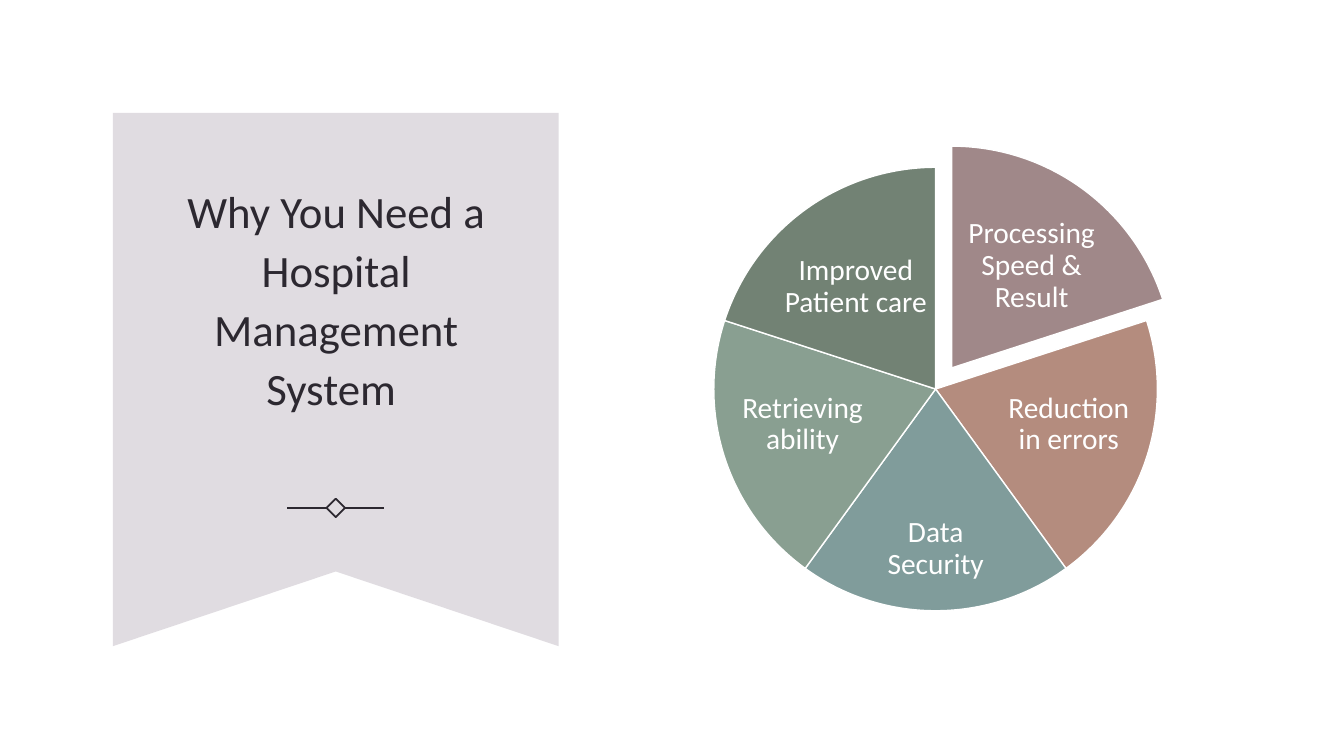
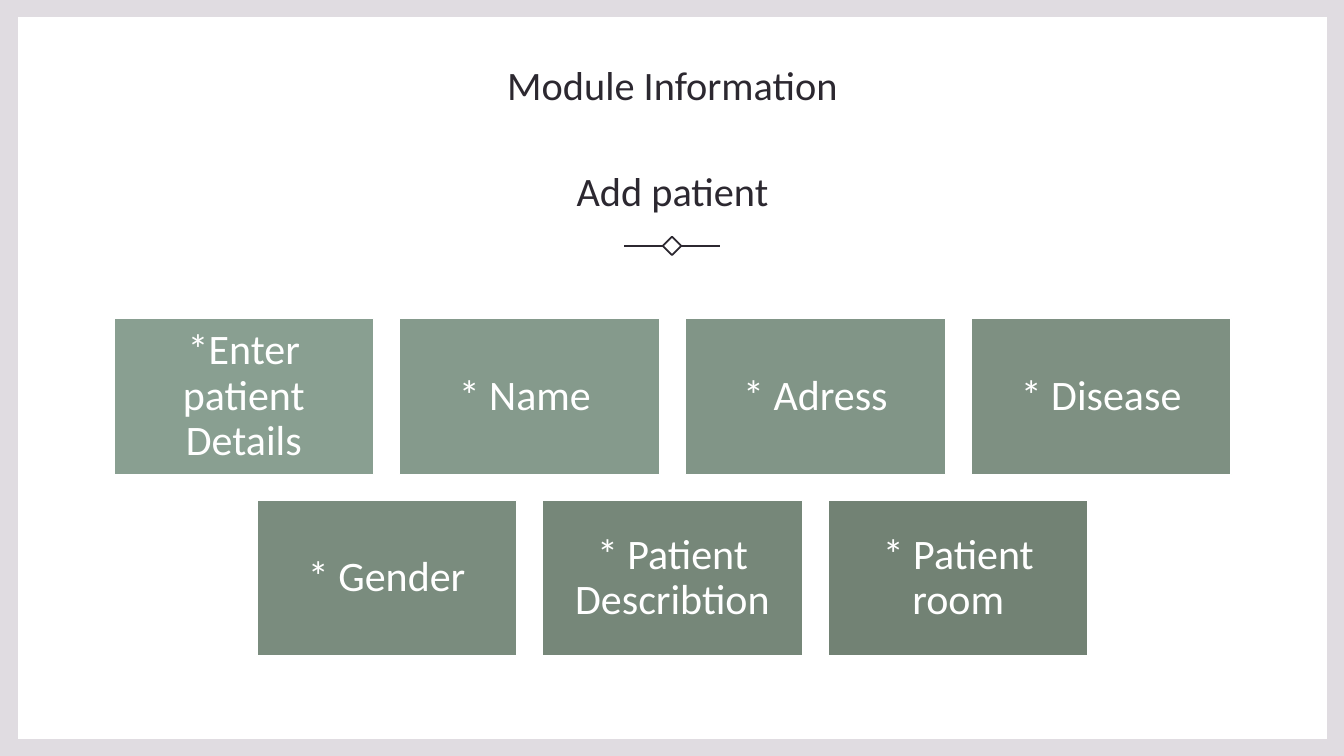
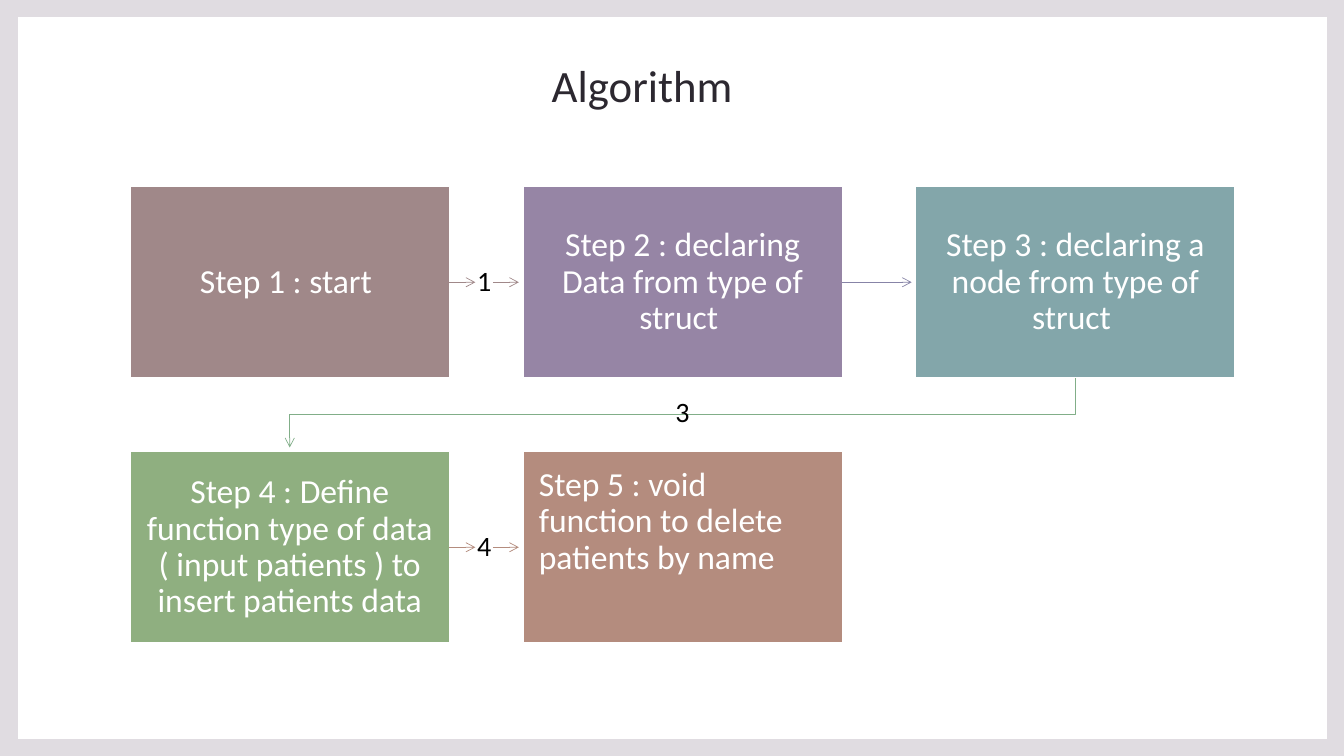
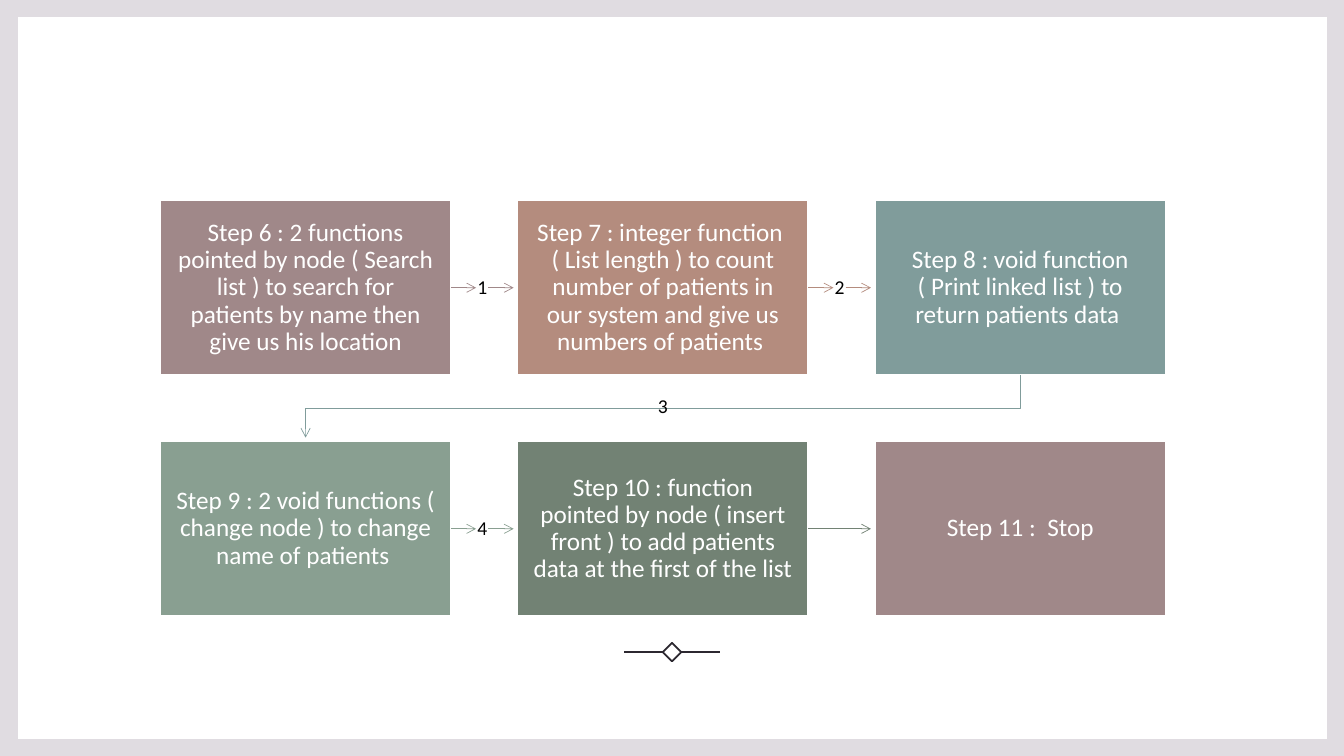
from dataclasses import dataclass

from lxml import etree
from pptx import Presentation
from pptx.dml.color import RGBColor
from pptx.enum.shapes import MSO_CONNECTOR, MSO_SHAPE
from pptx.enum.text import MSO_ANCHOR, MSO_AUTO_SIZE, PP_ALIGN
from pptx.oxml.ns import qn
from pptx.util import Inches, Pt

RECTANGLE, PIE = MSO_SHAPE.RECTANGLE, MSO_SHAPE.PIE
STRAIGHT = MSO_CONNECTOR.STRAIGHT
CENTER, LEFT = PP_ALIGN.CENTER, PP_ALIGN.LEFT
TOP, MIDDLE, BOTTOM = MSO_ANCHOR.TOP, MSO_ANCHOR.MIDDLE, MSO_ANCHOR.BOTTOM
NO_FIT = MSO_AUTO_SIZE.NONE

WIDTH, HEIGHT = 13.33, 7.5
FONT = "Calibri"
WHITE, BLACK, INK, LILAC = "FFFFFF", "000000", "2C2830", "E0DCE1"
MAUVE, CLAY, TEAL, SAGE, MOSS = "A08889", "B48C7E", "809C9B", "899F91", "728274"
TITLE_LAYOUT, BLANK_LAYOUT = 5, 6
RIGHT_SIDE = 3
FULL_TURN = 216


@dataclass
class Step:
    """One box of a flow, with the arrow that leaves it."""
    text: str
    fill: str
    arrow: str = ""
    number: str = ""
    align: int = CENTER
    anchor: int = MIDDLE


def color(value):
    """Turn a hex string into a colour."""
    return RGBColor.from_string(value)


def assign(target, values):
    """Set each attribute named in a dict."""
    for name, value in values.items():
        setattr(target, name, value)


def place(box):
    """Turn a box in inches into lengths."""
    return [Inches(length) for length in box]


def write(shape, lines, size, ink=WHITE, align=CENTER, anchor=MIDDLE,
          spacing=0.9, inset=(0, 0), gap=0):
    """Put paragraphs of one style into a shape."""
    across, down = place(inset)
    frame = shape.text_frame
    frame.text = "\n".join(lines)
    assign(frame, {"word_wrap": True, "auto_size": NO_FIT, "vertical_anchor": anchor,
                   "margin_left": across, "margin_right": across,
                   "margin_top": down, "margin_bottom": down})
    for index, para in enumerate(frame.paragraphs):
        assign(para, {"alignment": align, "line_spacing": spacing,
                      "space_before": Pt(gap if index else 0), "space_after": Pt(0)})
        for span in para.runs:
            assign(span.font, {"name": FONT, "size": Pt(size), "bold": False})
            span.font.color.rgb = color(ink)


def paint(shape, fill="", line="", weight=1):
    """Give a shape its fill and line, without a shadow."""
    shape.shadow.inherit = False
    if fill:
        shape.fill.solid()
        shape.fill.fore_color.rgb = color(fill)
    else:
        shape.fill.background()
    if line:
        shape.line.color.rgb = color(line)
        shape.line.width = Pt(weight)
    else:
        shape.line.fill.background()
    return shape


def add_box(page, box, fill="", line="", weight=1, kind=RECTANGLE):
    """Add a painted preset shape."""
    return paint(page.shapes.add_shape(kind, *place(box)), fill, line, weight)


def add_label(page, center, size, text, points, ink=WHITE, inset=(0, 0)):
    """Add a text box around a centre point."""
    (x, y), (width, height) = center, size
    label = page.shapes.add_textbox(*place((x - width / 2, y - height / 2, width, height)))
    write(label, [text], points, ink, inset=inset)


def add_line(page, start, end, ink, weight):
    """Add a straight connector without a shadow."""
    line = page.shapes.add_connector(STRAIGHT, *place(start + end))
    line.line.color.rgb = color(ink)
    line.line.width = Pt(weight)
    etree.SubElement(line.element.spPr, qn("a:effectLst"))
    return line


def add_outline(page, points, close):
    """Add a freeform through points in inches."""
    corners = [place(point) for point in points]
    builder = page.shapes.build_freeform(*corners[0], scale=1.0)
    builder.add_line_segments(corners[1:], close=close)
    return builder.convert_to_shape()


def add_arrowhead(shape):
    """Put an open arrowhead at the end of a line."""
    etree.SubElement(shape.element.spPr.find(qn("a:ln")), qn("a:tailEnd"), type="arrow")


def add_title(page, box, lines, size, anchor=BOTTOM, gap=0):
    """Move the title placeholder to the front and format it."""
    title = page.shapes.title
    title.element.getparent().append(title.element)
    assign(title, dict(zip(("left", "top", "width", "height"), place(box))))
    write(title, lines, size, INK, anchor=anchor, spacing=1.1, inset=(0.1, 0.05), gap=gap)


def add_divider(page, x, y):
    """Draw a small diamond between two short lines."""
    side, inner, outer = 0.13, 0.09, 0.48
    diamond = add_box(page, (x - side / 2, y - side / 2, side, side), line=INK, weight=1.25)
    diamond.rotation = 45
    for sign in (-1, 1):
        add_line(page, (x + sign * inner, y), (x + sign * outer, y), INK, 1.25)


def add_page(deck, layout, framed=True):
    """Add a slide, with a lilac frame if wanted."""
    page = deck.slides.add_slide(deck.slide_layouts[layout])
    page.background.fill.solid()
    page.background.fill.fore_color.rgb = color(LILAC if framed else WHITE)
    if framed:
        add_box(page, (0.18, 0.17, WIDTH - 0.35, HEIGHT - 0.34), WHITE)
    return page


def add_ribbon(page, box):
    """Draw a banner with a notch in its lower edge."""
    left, top, width, height = box
    right, bottom = left + width, top + height
    notch = (left + width / 2, top + 0.86 * height)
    corners = [(left, top), (right, top), (right, bottom), notch, (left, bottom)]
    paint(add_outline(page, corners, True), LILAC)


def add_pie(page, left, top, size, slices):
    """Draw equal slices clockwise from the top, the first pulled out."""
    turn = FULL_TURN / len(slices)
    start = FULL_TURN * 0.75
    for index, (text, fill, across, down, wide, high) in enumerate(slices):
        x, y = (left, top) if index else (left + 0.16, top - 0.21)
        piece = add_box(page, (x, y, size, size), fill, WHITE, kind=PIE)
        for end in (0, 1):
            piece.adjustments[end] = round((start + (index + end) * turn) % FULL_TURN, 1)
        center = (x + (0.5 + across) * size, y + (0.5 + down) * size)
        add_label(page, center, (wide * size, high * size), text, 21, inset=(0.03, 0.03))


def blend(first, last, share):
    """Mix two hex colours."""
    pairs = [(int(first[at:at + 2], 16), int(last[at:at + 2], 16)) for at in (0, 2, 4)]
    return "".join(f"{round(low + (high - low) * share):02X}" for low, high in pairs)


def add_tiles(page, left, top, width, texts, columns=4):
    """Fill centred rows of tiles that darken step by step."""
    tile = width / (columns + 0.1 * (columns - 1))
    gap, height = 0.1 * tile, 0.6 * tile
    for index, text in enumerate(texts):
        row, column = divmod(index, columns)
        count = min(columns, len(texts) - row * columns)
        indent = (columns - count) * (tile + gap) / 2
        box = (left + indent + column * (tile + gap), top + row * (height + gap), tile, height)
        fill = blend(SAGE, MOSS, index / (len(texts) - 1))
        write(add_box(page, box, fill, WHITE), [text], 30, inset=(0.12, 0.12))


def add_flow(page, left, top, width, steps, size, number_size, columns=3):
    """Lay steps out in rows and join them with numbered arrows."""
    wide = width / (columns + 0.23 * (columns - 1))
    high, gap = 0.6 * wide, 0.23 * wide
    reach, hole = gap - 0.04, number_size / 115
    for index, step in enumerate(steps):
        row, column = divmod(index, columns)
        x, y = left + column * (wide + gap), top + row * (high + gap)
        box = add_box(page, (x, y, wide, high), step.fill, WHITE)
        write(box, [step.text], size, align=step.align, anchor=step.anchor,
              inset=(0.05 * wide, 0.05 * wide))
        if not step.arrow:
            continue
        if column == columns - 1:
            begin, end, bend = x + wide / 2, left + wide / 2, y + high + gap / 2
            points = [(begin, y + high), (begin, bend), (end, bend), (end, y + high + reach)]
            elbow = paint(add_outline(page, points, False), line=step.arrow, weight=0.5)
            add_arrowhead(elbow)
            center = ((begin + end) / 2, bend - 0.01)
        else:
            begin, level = x + wide, y + high / 2
            end, middle = begin + reach, begin + reach / 2
            stops = [begin, middle - hole / 2, middle + hole / 2, end] if step.number else [begin, end]
            for start, stop in zip(stops[::2], stops[1::2]):
                arrow = add_line(page, (start, level), (stop, level), step.arrow, 0.5)
                add_arrowhead(arrow)
                if start == begin:
                    arrow.begin_connect(box, RIGHT_SIDE)
            center = (middle, level)
        if step.number:
            add_label(page, center, (hole, number_size / 70), step.number, number_size, BLACK)


def build_reasons(deck):
    """Build the slide with the banner and the pie."""
    page = add_page(deck, TITLE_LAYOUT, framed=False)
    add_ribbon(page, (1.12, 1.12, 4.42, 5.29))
    add_title(page, (1.56, 1.81, 3.55, 2.26),
              ["Why You Need a Hospital Management System "], 32, MIDDLE)
    add_divider(page, 3.33, 5.04)
    add_pie(page, 7.08, 1.66, 4.4, [
        ("Processing Speed & Result", MAUVE, 0.18, -0.23, 0.34, 0.23),
        ("Reduction in errors", CLAY, 0.3, 0.08, 0.3, 0.25),
        ("Data Security", TEAL, 0, 0.36, 0.36, 0.21),
        ("Retrieving ability", SAGE, -0.3, 0.08, 0.3, 0.25),
        ("Improved Patient care", MOSS, -0.18, -0.23, 0.34, 0.23),
    ])


def build_module(deck):
    """Build the slide with the fields of a patient."""
    page = add_page(deck, TITLE_LAYOUT)
    add_title(page, (1.13, 0.45, 11.08, 1.73), ["Module Information", "Add patient"], 28.8, gap=38)
    add_divider(page, WIDTH / 2, 2.44)
    add_tiles(page, 1.13, 3.16, 11.08, [
        "*Enter patient Details", "* Name ", "* Adress", "* Disease",
        "* Gender", "* Patient Describtion", "* Patient room",
    ])


def build_algorithm(deck):
    """Build the slide with the first five steps."""
    page = add_page(deck, TITLE_LAYOUT)
    add_title(page, (0.83, 0.17, 11.08, 0.99), ["Algorithm"], 32)
    add_flow(page, 1.29, 1.85, 10.96, [
        Step("Step 1 : start ", MAUVE, MAUVE, "1"),
        Step("Step 2 : declaring Data from type of struct ", "9685A5", "8784A7"),
        Step("Step 3 : declaring a node from type of struct ", "83A6AA", "81AE88", "3"),
        Step("Step 4 : Define function type of data ( input patients ) to insert patients data",
             "8FAF80", CLAY, "4"),
        Step("Step 5 : void function to delete patients by name", CLAY, align=LEFT, anchor=TOP),
    ], 24, 20)


def build_more_steps(deck):
    """Build the slide with the remaining steps."""
    page = add_page(deck, BLANK_LAYOUT)
    add_divider(page, WIDTH / 2, 6.47)
    add_flow(page, 1.59, 1.99, 9.97, [
        Step("Step 6 : 2 functions pointed by node ( Search list ) to search for patients by name "
             "then give us his location", MAUVE, MAUVE, "1"),
        Step("Step 7 : integer function  ( List length ) to count number of patients in our system "
             "and give us numbers of patients ", CLAY, CLAY, "2"),
        Step("Step 8 : void function ( Print linked list ) to return patients data ",
             TEAL, TEAL, "3"),
        Step("Step 9 : 2 void functions ( change node ) to change name of patients ",
             SAGE, SAGE, "4"),
        Step("Step 10 : function pointed by node ( insert front ) to add patients data at the first "
             "of the list", MOSS, MOSS),
        Step("Step 11 :  Stop", MAUVE),
    ], 18, 14)


def main():
    """Build the deck and save it."""
    deck = Presentation()
    assign(deck, {"slide_width": Inches(WIDTH), "slide_height": Inches(HEIGHT)})
    for build in (build_reasons, build_module, build_algorithm, build_more_steps):
        build(deck)
    deck.save("out.pptx")


if __name__ == "__main__":
    main()
